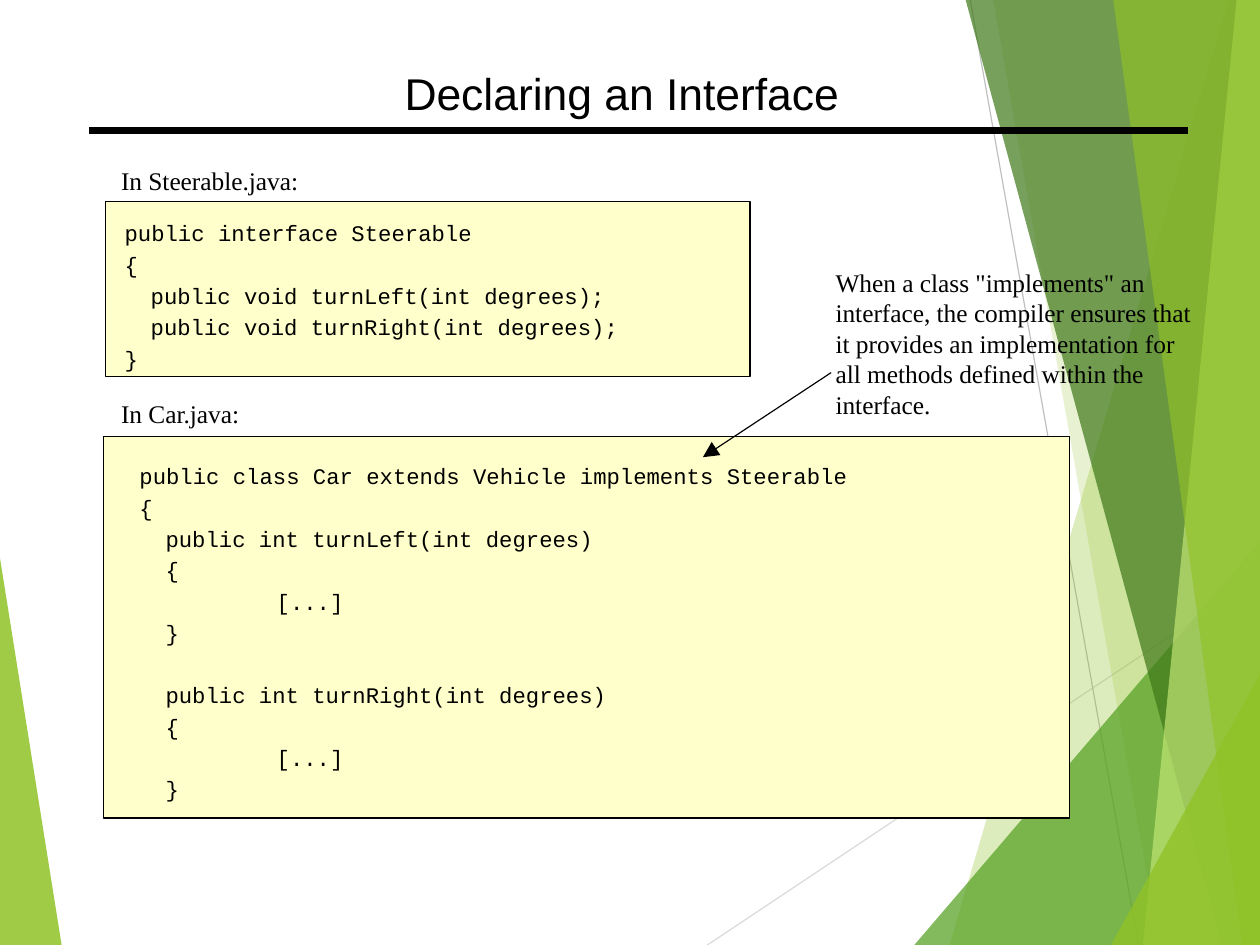
from lxml import etree
from pptx import Presentation
from pptx.dml.color import RGBColor
from pptx.enum.shapes import MSO_CONNECTOR, MSO_SHAPE
from pptx.oxml.ns import qn
from pptx.util import Cm, Pt

STRAIGHT = MSO_CONNECTOR.STRAIGHT
RECTANGLE = MSO_SHAPE.RECTANGLE

BLACK = RGBColor(0x00, 0x00, 0x00)
CREAM = RGBColor(0xFF, 0xFF, 0xCC)
LIME = RGBColor(0x90, 0xC2, 0x26)
PALE_LIME = RGBColor(0xC0, 0xE4, 0x74)
GREEN = RGBColor(0x54, 0xA0, 0x21)
DARK_GREEN = RGBColor(0x3F, 0x78, 0x19)
LIGHT_GRAY = RGBColor(0xD9, 0xD9, 0xD9)
GRAY = RGBColor(0xBF, 0xBF, 0xBF)

# All lengths are centimetres
PAGE_WIDTH, PAGE_HEIGHT = 28, 21
CODE_INDENTS = (0, 0.58, 3.05)  # left margin of each code level
CODE_SPACE = 2.8
CODE_LINE = 16.9

# Each code line: level and text; an empty text opens a one-line gap
STEERABLE_CODE = [
    (0, "public interface Steerable"),
    (0, "{"),
    (1, "public void turnLeft(int degrees);"),
    (1, "public void turnRight(int degrees);"),
    (0, "}"),
]


def method_lines(name):
    return [(1, f"public int {name}(int degrees)"), (1, "{"), (2, "[...]"), (1, "}")]


CAR_CODE = [
    (0, "public class Car extends Vehicle implements Steerable"),
    (0, "{"),
    *method_lines("turnLeft"),
    (0, ""),
    *method_lines("turnRight"),
]

NOTE_LINES = [
    'When a class "implements" an',
    "interface, the compiler ensures that",
    "it provides an implementation for",
    "all methods defined within the",
    "interface.",
]


def add_line(page, start, end, color, weight, arrow=False):
    line = page.shapes.add_connector(STRAIGHT, *map(Cm, start + end))
    line.line.color.rgb = color
    line.line.width = Pt(weight)
    if arrow:
        outline = line.line._get_or_add_ln()
        etree.SubElement(outline, qn("a:tailEnd"), type="triangle", w="lg", len="lg")
    etree.SubElement(line._element.spPr, qn("a:effectLst"))


def add_facet(page, points, color, opacity):
    corners = [(Cm(x), Cm(y)) for x, y in points]
    builder = page.shapes.build_freeform(*corners[0])
    builder.add_line_segments(corners[1:], close=True)
    facet = builder.convert_to_shape()
    facet.shadow.inherit = False
    facet.fill.solid()
    facet.fill.fore_color.rgb = color
    facet.line.fill.background()
    color_node = facet._element.spPr.find(qn("a:solidFill"))[0]
    etree.SubElement(color_node, qn("a:alpha"), val=str(opacity * 1000))


def add_text_frame(page, left, top, width, height, wrap=True):
    box = page.shapes.add_textbox(Cm(left), Cm(top), Cm(width), Cm(height))
    frame = box.text_frame
    frame.margin_left = frame.margin_right = 0
    frame.margin_top = frame.margin_bottom = 0
    frame.word_wrap = wrap
    return frame


def write_line(para, text, font_name, size, line_height):
    para.text = text
    para.line_spacing = Pt(line_height)
    para.font.name = font_name
    para.font.size = Pt(size)
    para.font.color.rgb = BLACK


def add_serif_text(page, left, top, width, lines):
    frame = add_text_frame(page, left, top, width, 0.68 * len(lines), wrap=False)
    for number, text in enumerate(lines):
        para = frame.add_paragraph() if number else frame.paragraphs[0]
        write_line(para, text, "Times New Roman", 16, 19.15)


def draw_background(page, right, bottom):
    add_facet(page, [(0, 12.4), (1.37, bottom), (0, bottom)], LIME, 85)
    add_line(page, (15.72, bottom), (right, 12.81), LIGHT_GRAY, 0.75)
    add_line(page, (21.56, 0), (25.3, bottom), GRAY, 0.75)

    # Facets on the right: x at the top edge (or y at the right edge), x at the bottom
    def add_band(top_x, bottom_x, color, opacity):
        points = [(top_x, 0), (bottom_x, bottom), (right, bottom), (right, 0)]
        add_facet(page, points, color, opacity)

    def add_corner(bottom_x, right_y, color, opacity):
        points = [(bottom_x, bottom), (right, right_y), (right, bottom)]
        add_facet(page, points, color, opacity)

    add_band(27.3, 21.1, LIME, 30)
    add_band(22.07, 25.76, LIME, 20)
    add_corner(20.32, 12.03, GREEN, 72)
    add_band(21.46, 27.15, DARK_GREEN, 70)
    add_band(27.48, 25.4, PALE_LIME, 70)
    add_band(24.74, 27.61, LIME, 65)
    add_corner(24.69, 14.99, LIME, 80)


def draw_title(page, left, top, width):
    add_line(page, (left, top + 1.45), (left + width, top + 1.45), BLACK, 4.31)
    frame = add_text_frame(page, left + 7.01, top, 13.41, 1.19)
    write_line(frame.paragraphs[0], "Declaring an Interface", "Arial", 28, 33.84)


def draw_code_panel(page, left, top, width, height, inset, code):
    panel = page.shapes.add_shape(RECTANGLE, Cm(left), Cm(top), Cm(width), Cm(height))
    panel.shadow.inherit = False
    panel.fill.solid()
    panel.fill.fore_color.rgb = CREAM
    panel.line.color.rgb = BLACK
    panel.line.width = Pt(0.75)

    inset_x, inset_y = inset
    frame = add_text_frame(page, left + inset_x, top + inset_y,
                           width - 2 * inset_x, height - inset_y)
    gap = 0
    for number, (level, text) in enumerate(code):
        if not text:
            gap = CODE_LINE + CODE_SPACE
            continue
        para = frame.add_paragraph() if number else frame.paragraphs[0]
        write_line(para, text, "Courier New", 14, CODE_LINE)
        para.space_before = Pt(CODE_SPACE + gap)
        para._p.get_or_add_pPr().set("marL", str(Cm(CODE_INDENTS[level])))
        gap = 0


def draw_note(page, left, top, width):
    add_serif_text(page, left, top, width, NOTE_LINES)
    add_line(page, (left - 0.1, top + 2.34), (left - 2.95, top + 4.22),
             BLACK, 0.75, arrow=True)


def main():
    deck = Presentation()
    deck.slide_width, deck.slide_height = Cm(PAGE_WIDTH), Cm(PAGE_HEIGHT)
    page = deck.slides.add_slide(deck.slide_layouts[6])

    draw_background(page, PAGE_WIDTH, PAGE_HEIGHT)
    draw_title(page, 1.98, 1.45, 24.41)
    # Interface file
    draw_code_panel(page, 2.34, 4.47, 14.33, 3.89, (0.43, 0.41), STEERABLE_CODE)
    add_serif_text(page, 2.69, 3.68, 3.94, ["In Steerable.java:"])
    # Class file
    draw_code_panel(page, 2.31, 9.7, 21.46, 8.48, (0.79, 0.58), CAR_CODE)
    add_serif_text(page, 2.69, 8.84, 2.67, ["In Car.java:"])
    draw_note(page, 18.57, 5.94, 7.9)

    deck.save("out.pptx")


if __name__ == "__main__":
    main()
